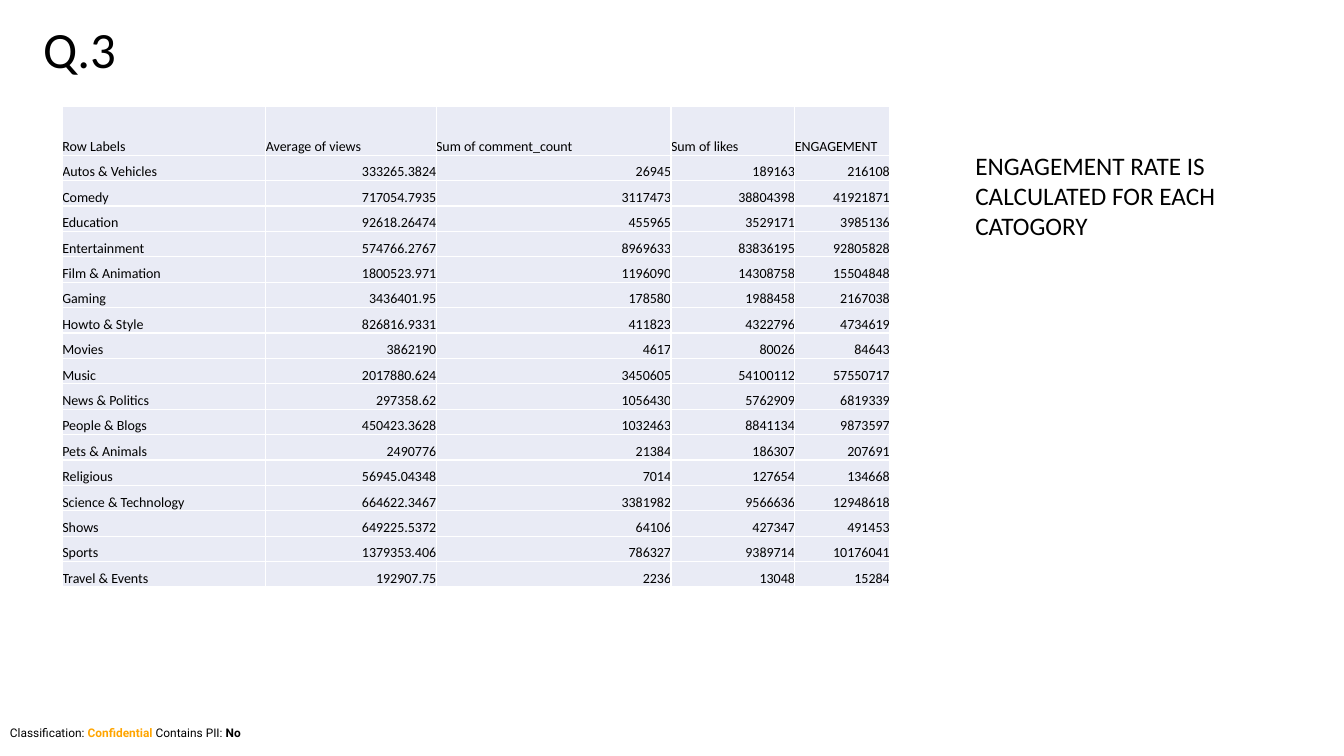
from lxml import etree
from pptx import Presentation
from pptx.dml.color import RGBColor
from pptx.enum.text import MSO_ANCHOR, MSO_AUTO_SIZE, PP_ALIGN
from pptx.oxml.ns import qn
from pptx.util import Cm, Pt

TOP, MIDDLE, BOTTOM = MSO_ANCHOR.TOP, MSO_ANCHOR.MIDDLE, MSO_ANCHOR.BOTTOM
LEFT, RIGHT = PP_ALIGN.LEFT, PP_ALIGN.RIGHT
FIT_SHAPE = MSO_AUTO_SIZE.SHAPE_TO_FIT_TEXT

COLORS = {"text": "000000", "accent": "FFA500", "cell": "E9EBF5", "border": "FFFFFF"}

COL_WIDTHS = [5.13, 4.29, 5.92, 3.12, 2.39]
HEADER_HEIGHT, ROW_HEIGHT = 1.22, 0.64

HEADER = ["Row Labels", "Average of views", "Sum of comment_count", "Sum of likes", "ENGAGEMENT"]
CATEGORIES = [
    ["Autos & Vehicles", 333265.3824, 26945, 189163, 216108],
    ["Comedy", 717054.7935, 3117473, 38804398, 41921871],
    ["Education", 92618.26474, 455965, 3529171, 3985136],
    ["Entertainment", 574766.2767, 8969633, 83836195, 92805828],
    ["Film & Animation", 1800523.971, 1196090, 14308758, 15504848],
    ["Gaming", 3436401.95, 178580, 1988458, 2167038],
    ["Howto & Style", 826816.9331, 411823, 4322796, 4734619],
    ["Movies", 3862190, 4617, 80026, 84643],
    ["Music", 2017880.624, 3450605, 54100112, 57550717],
    ["News & Politics", 297358.62, 1056430, 5762909, 6819339],
    ["People & Blogs", 450423.3628, 1032463, 8841134, 9873597],
    ["Pets & Animals", 2490776, 21384, 186307, 207691],
    ["Religious", 56945.04348, 7014, 127654, 134668],
    ["Science & Technology", 664622.3467, 3381982, 9566636, 12948618],
    ["Shows", 649225.5372, 64106, 427347, 491453],
    ["Sports", 1379353.406, 786327, 9389714, 10176041],
    ["Travel & Events", 192907.75, 2236, 13048, 15284],
]


def add_run(p, text, size, font="Calibri", color="text", bold=False):
    r = p.add_run()
    r.text = text
    r.font.name = font
    r.font.size = Pt(size)
    r.font.bold = bold
    r.font.color.rgb = RGBColor.from_string(COLORS[color])


def add_text_box(s, left, top, width, height, anchor=TOP):
    """Add a wrapping text box, given in cm, and return its text frame."""
    tf = s.shapes.add_textbox(Cm(left), Cm(top), Cm(width), Cm(height)).text_frame
    tf.word_wrap = True
    tf.vertical_anchor = anchor
    return tf


def add_borders(cell):
    tcPr = cell._tc.get_or_add_tcPr()
    for side in ("lnL", "lnR", "lnT", "lnB"):
        ln = etree.SubElement(tcPr, qn(f"a:{side}"), w=str(Pt(1)))
        fill = etree.SubElement(ln, qn("a:solidFill"))
        etree.SubElement(fill, qn("a:srgbClr"), val=COLORS["border"])


def fill_cell(cell, value):
    """Style a cell and write its value; numbers go to the right."""
    add_borders(cell)
    cell.fill.solid()
    cell.fill.fore_color.rgb = RGBColor.from_string(COLORS["cell"])
    cell.margin_left = cell.margin_right = cell.margin_top = cell.margin_bottom = 0
    cell.vertical_anchor = BOTTOM
    p = cell.text_frame.paragraphs[0]
    p.alignment = LEFT if isinstance(value, str) else RIGHT
    add_run(p, str(value), 10)


def add_engagement_table(s):
    rows = [HEADER] + CATEGORIES
    height = HEADER_HEIGHT + ROW_HEIGHT * len(CATEGORIES)
    table = s.shapes.add_table(len(rows), len(HEADER), Cm(1.57), Cm(2.69),
                               Cm(sum(COL_WIDTHS)), Cm(height)).table
    for column, width in zip(table.columns, COL_WIDTHS):
        column.width = Cm(width)
    for i, values in enumerate(rows):
        table.rows[i].height = Cm(ROW_HEIGHT if i else HEADER_HEIGHT)
        for j, value in enumerate(values):
            fill_cell(table.cell(i, j), value)


def add_classification(s):
    tf = add_text_box(s, 0, 18.16, 33.87, 0.61)
    tf.auto_size = FIT_SHAPE
    p = tf.paragraphs[0]
    for text, color, bold in [("Classification: ", "text", False),
                              ("Confidential", "accent", True),
                              (" Contains PII: ", "text", False),
                              ("No", "text", True)]:
        add_run(p, text, 8.5, "Roboto", color, bold)


def add_title(s):
    p = add_text_box(s, 0.84, 0.69, 3, 1.45, MIDDLE).paragraphs[0]
    p.line_spacing = 0.7
    add_run(p, "Q.3", 36.3)


def add_remark(s):
    tf = add_text_box(s, 24.33, 3.66, 8.46, 2.57)
    tf.auto_size = FIT_SHAPE
    add_run(tf.paragraphs[0], "ENGAGEMENT RATE IS CALCULATED FOR EACH CATOGORY", 18)


def main():
    prs = Presentation()
    prs.slide_width, prs.slide_height = Cm(33.87), Cm(19.05)
    s = prs.slides.add_slide(prs.slide_layouts[6])
    add_classification(s)
    add_title(s)
    add_engagement_table(s)
    add_remark(s)
    prs.save("out.pptx")


if __name__ == "__main__":
    main()
